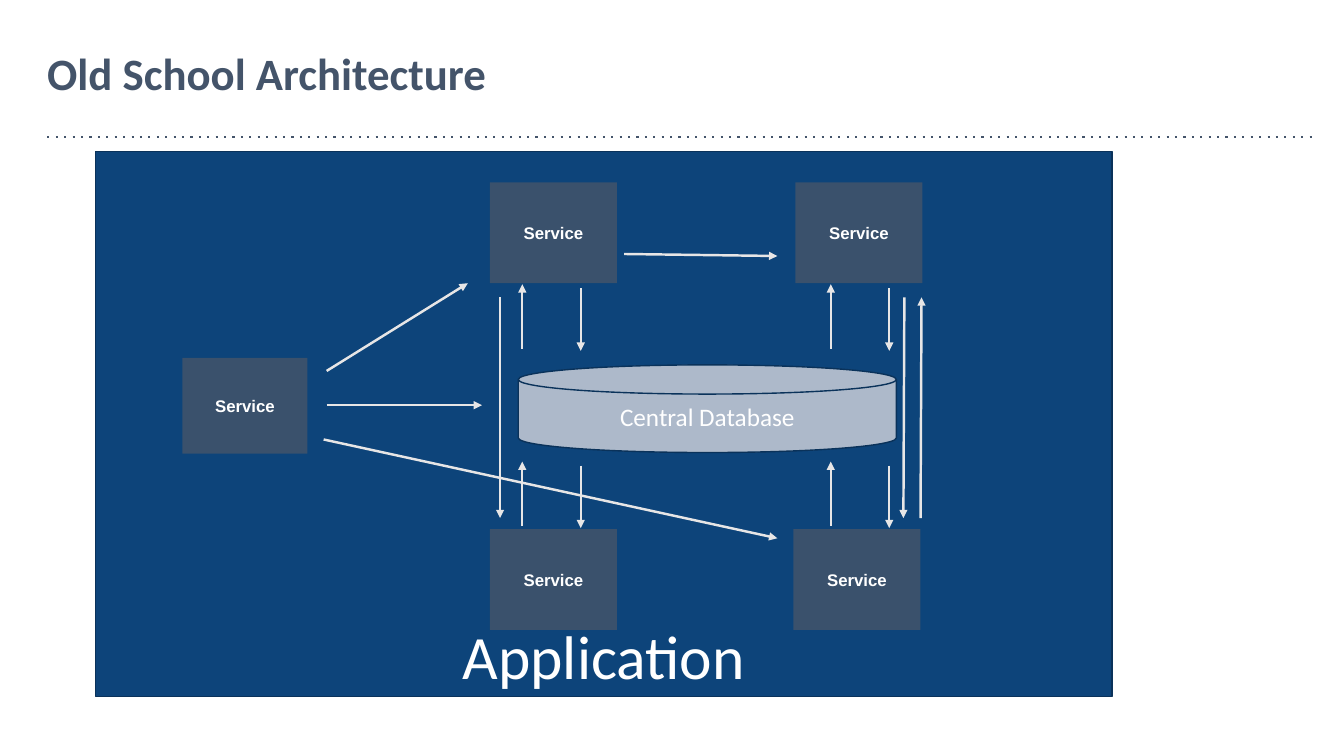
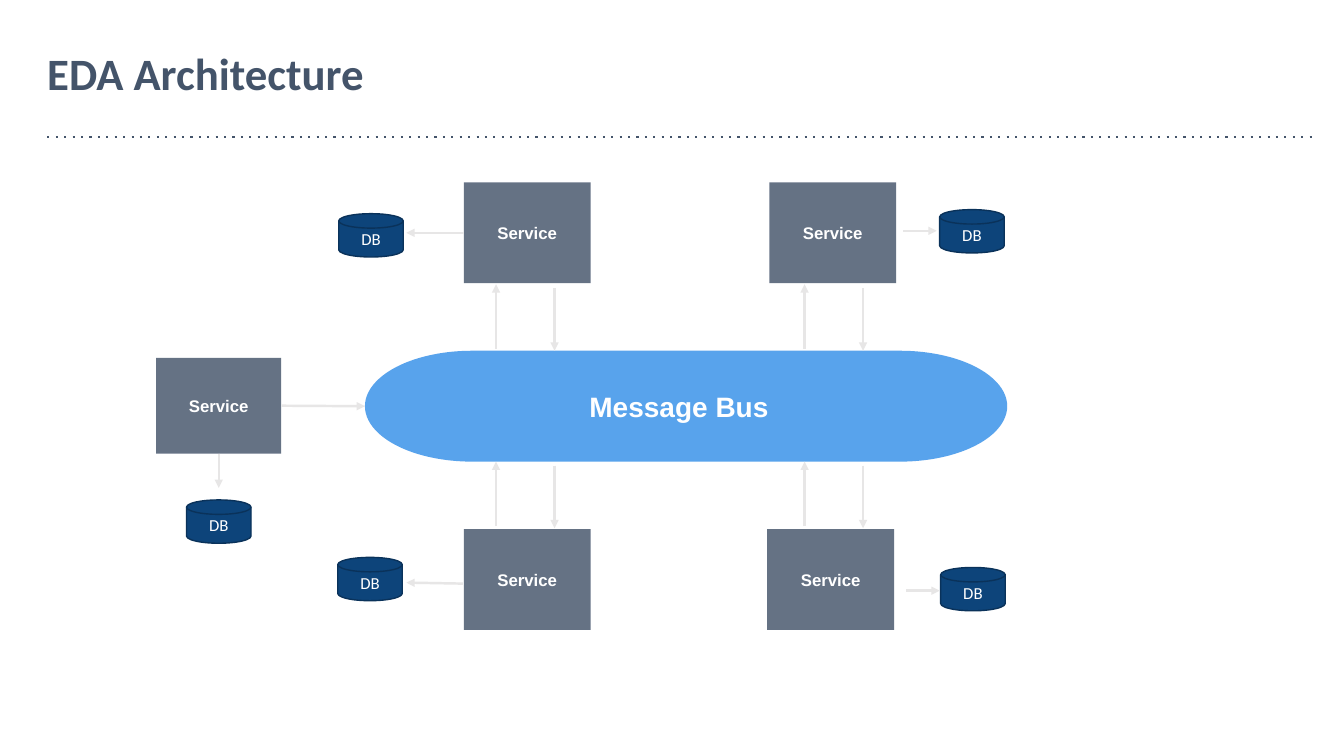
from dataclasses import dataclass

from lxml import etree
from pptx import Presentation
from pptx.dml.color import RGBColor
from pptx.enum.shapes import MSO_CONNECTOR, MSO_SHAPE
from pptx.enum.text import MSO_ANCHOR, PP_ALIGN
from pptx.oxml.ns import qn
from pptx.util import Inches, Pt

LINE = MSO_CONNECTOR.STRAIGHT
RECT = MSO_SHAPE.RECTANGLE
DISK = MSO_SHAPE.FLOWCHART_MAGNETIC_DISK
DRUM = MSO_SHAPE.FLOWCHART_DIRECT_ACCESS_STORAGE
MID, LOW = MSO_ANCHOR.MIDDLE, MSO_ANCHOR.BOTTOM
MIDDLE, LEFT = PP_ALIGN.CENTER, PP_ALIGN.LEFT
SIDE_L, SIDE_B, SIDE_R = 1, 2, 3


@dataclass(frozen=True)
class Theme:
    slate: str = "44546A"
    navy: str = "0D447A"
    edge: str = "0A325A"
    steel: str = "ADB9CA"
    blue: str = "348FE9"
    pale: str = "E7E6E6"
    white: str = "FFFFFF"
    sans: str = "Arial"
    body: str = "Calibri"
    small: int = 12
    label: int = 18
    bus: int = 20
    title: int = 32
    huge: int = 44
    alpha: int = 82


T = Theme()

# Content: service boxes and lanes, placed as on the first slide
SERVICE = "Service"
BOXES = {
    "west": (1.81, 3.55, 1.24, 0.95),
    "north": (4.86, 1.81, 1.26, 1),
    "northeast": (7.89, 1.81, 1.26, 1),
    "south": (4.86, 5.25, 1.26, 1),
    "southeast": (7.87, 5.25, 1.26, 1),
}
LANES = (5.18, 8.24)
LANE_GAP = 0.58
ROW_STEP = 1.76
SHIFT = -0.26

OLD = {
    "title": "Old School Architecture",
    "frame": ("Application", (0.95, 1.5, 10.08, 5.41)),
    "store": ("Central Database", (5.14, 3.62, 3.75, 0.87)),
    "links": [
        ((3.24, 4.02), (4.78, 4.02)),
        ((3.24, 3.68), (4.64, 2.81)),
        ((6.19, 2.52), (7.71, 2.54)),
        ((4.96, 2.95), (4.96, 5.14)),
        ((8.97, 2.95), (8.96, 5.14)),
        ((9.13, 5.14), (9.14, 2.95)),
        ((3.21, 4.36), (7.71, 5.34)),
    ],
}
EDA = {
    "title": "EDA Architecture",
    "bus": ("Message Bus", (3.62, 3.48, 6.37, 1.1)),
    "store": "DB",
    "size": (0.64, 0.43),
    "spots": [(1.85, 4.96), (3.36, 2.12), (9.32, 2.08), (3.35, 5.53), (9.33, 5.63)],
    "links": [
        ((8.96, 2.29), (9.29, 2.29)),
        ((8.99, 5.86), (9.32, 5.86)),
        ((4.59, 5.79), (4.03, 5.78)),
    ],
}


# Drawing helpers
def tint(name):
    return RGBColor.from_string(name)


def write(shape, text, size=T.small, font=T.body, color=T.white, bold=False,
          align=MIDDLE, anchor=MID, inset=0.1, lead=None, before=None):
    frame = shape.text_frame
    frame.word_wrap = True
    frame.vertical_anchor = anchor
    frame.margin_left = Inches(inset)
    para = frame.paragraphs[0]
    para.alignment = align
    para.line_spacing = lead
    para.space_before = before
    run = para.add_run()
    run.text = text
    run.font.size = Pt(size)
    run.font.name = font
    run.font.bold = bold
    run.font.color.rgb = tint(color)


def block(slide, kind, area, text, fill, edge=None, alpha=None, **style):
    shape = slide.shapes.add_shape(kind, *map(Inches, area))
    shape.shadow.inherit = False
    shape.fill.solid()
    shape.fill.fore_color.rgb = tint(fill)
    if alpha:
        node = shape.fill._xPr.find(qn("a:solidFill"))[0]
        etree.SubElement(node, qn("a:alpha"), val=str(alpha * 1000))
    if edge:
        shape.line.color.rgb = tint(edge)
        shape.line.width = Pt(1)
    else:
        shape.line.fill.background()
    write(shape, text, **style)
    return shape


def rule(slide, start, end, color, width, tag, **attrs):
    line = slide.shapes.add_connector(LINE, *map(Inches, (*start, *end)))
    line.line.color.rgb = tint(color)
    line.line.width = Pt(width)
    etree.SubElement(line.line._get_or_add_ln(), qn(tag), **attrs)
    etree.SubElement(line._element.spPr, qn("a:effectLst"))
    return line


def arrow(slide, start, end):
    return rule(slide, start, end, T.pale, 1.75, "a:tailEnd", type="triangle")


# Parts that both slides share
def start_slide(deck, title):
    slide = deck.slides.add_slide(deck.slide_layouts[6])
    rule(slide, (0.47, 1.36), (13.05, 1.36), T.slate, 1.5, "a:prstDash", val="dot")
    box = slide.shapes.add_textbox(*map(Inches, (0.37, 0.35, 12.67, 0.81)))
    write(box, title, size=T.title, color=T.slate, bold=True, align=LEFT,
          lead=0.9, before=Pt(10))
    return slide


def add_net(slide, shift=0):
    boxes = {}
    for name, (x, y, w, h) in BOXES.items():
        boxes[name] = block(slide, RECT, (x + shift, y, w, h), SERVICE, T.slate,
                            alpha=T.alpha, font=T.sans, bold=True)
    for lane in LANES:
        up, down = lane + shift, lane + shift + LANE_GAP
        for drop in (0, ROW_STEP):
            arrow(slide, (up, 3.46 + drop), (up, 2.82 + drop))
            arrow(slide, (down, 2.86 + drop), (down, 3.48 + drop))
    return boxes


# Slides
def draw_old(deck):
    slide = start_slide(deck, OLD["title"])
    text, area = OLD["frame"]
    block(slide, RECT, area, text, T.navy, T.edge, size=T.huge, anchor=LOW)
    add_net(slide)
    text, area = OLD["store"]
    block(slide, DISK, area, text, T.steel, T.edge, size=T.label)
    for start, end in OLD["links"]:
        arrow(slide, start, end)


def draw_eda(deck):
    slide = start_slide(deck, EDA["title"])
    text, area = EDA["bus"]
    bus = block(slide, DRUM, area, text, T.blue, alpha=T.alpha, size=T.bus,
                font=T.sans, bold=True, inset=1.02)
    boxes = add_net(slide, SHIFT)
    for spot in EDA["spots"]:
        block(slide, DISK, (*spot, *EDA["size"]), EDA["store"], T.navy, T.edge)
    for start, end in EDA["links"]:
        arrow(slide, start, end)
    # Arrows joined to the boxes
    link = arrow(slide, (2.79, 4.02), (3.62, 4.03))
    link.begin_connect(boxes["west"], SIDE_R)
    link.end_connect(bus, SIDE_L)
    link = arrow(slide, (4.6, 2.31), (4.03, 2.31))
    link.begin_connect(boxes["north"], SIDE_L)
    link = arrow(slide, (2.17, 4.5), (2.17, 4.84))
    link.begin_connect(boxes["west"], SIDE_B)


def main():
    deck = Presentation()
    deck.slide_width, deck.slide_height = Inches(13.33), Inches(7.5)
    draw_old(deck)
    draw_eda(deck)
    deck.save("out.pptx")


if __name__ == "__main__":
    main()
